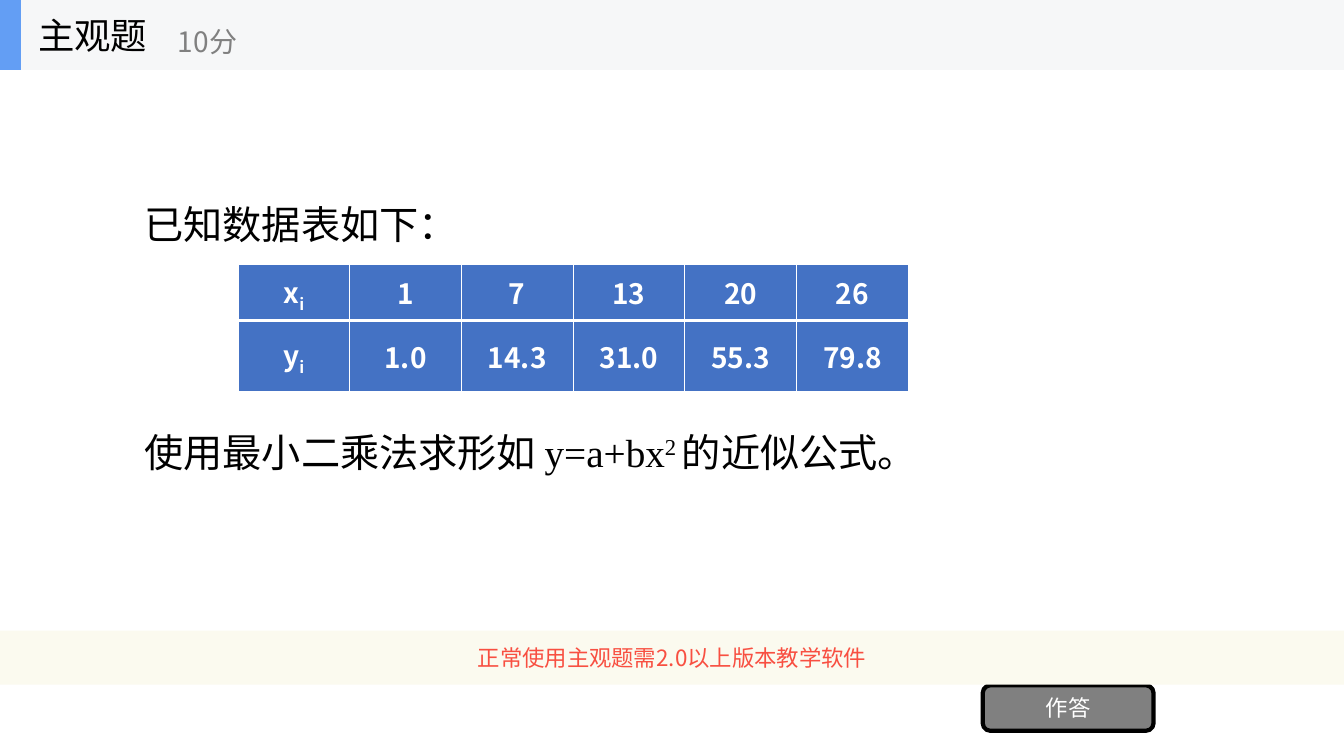
from lxml import etree
from pptx import Presentation
from pptx.dml.color import RGBColor
from pptx.enum.shapes import MSO_SHAPE
from pptx.enum.text import MSO_ANCHOR, MSO_AUTO_SIZE, PP_ALIGN
from pptx.oxml.ns import qn
from pptx.util import Pt

RECTANGLE, ROUNDED = MSO_SHAPE.RECTANGLE, MSO_SHAPE.ROUNDED_RECTANGLE
MIDDLE, NO_FIT = MSO_ANCHOR.MIDDLE, MSO_AUTO_SIZE.NONE
LEFT, CENTER = PP_ALIGN.LEFT, PP_ALIGN.CENTER
SANS, SERIF = "Noto Sans CJK SC", "Times New Roman"
BLACK, WHITE, GRAY = "000000", "FFFFFF", "808080"
FRAME_FORMAT = {"word_wrap": True, "auto_size": NO_FIT, "vertical_anchor": MIDDLE}
SUBSCRIPT, SUPERSCRIPT = -25, 30
WIDTH, HEIGHT = 960, 540
DATA_ROWS = [
    [("x", "i"), "1", "7", "13", "20", "26"],
    [("y", "i"), "1.0", "14.3", "31.0", "55.3", "79.8"],
]


def paint(color_format, color):
    """Apply a hex colour to a fill or a font."""
    color_format.solid()
    color_format.fore_color.rgb = RGBColor.from_string(color)


def place(shape, box):
    """Move and size a shape to a box given in points."""
    for name, value in zip(("left", "top", "width", "height"), box):
        setattr(shape, name, Pt(value))


def add_run(paragraph, text, size, color, font=SANS, bold=False, baseline=0):
    """Add one formatted run to a paragraph."""
    run = paragraph.add_run()
    run.text = text
    values = {"name": font, "size": Pt(size), "bold": bold}
    for name, value in values.items():
        setattr(run.font, name, value)
    paint(run.font.fill, color)
    properties = run._r.get_or_add_rPr()
    etree.SubElement(properties, qn("a:ea")).set("typeface", SANS)
    if baseline:
        properties.set("baseline", str(baseline * 1000))


def format_frame(shape, alignment=LEFT):
    """Prepare the text frame of a shape and return its first paragraph."""
    for name, value in FRAME_FORMAT.items():
        setattr(shape.text_frame, name, value)
    paragraph = shape.text_frame.paragraphs[0]
    paragraph.alignment = alignment
    return paragraph


def add_block(slide, kind, box, fill, outline=None):
    """Add a flat filled shape with an optional 3 point outline."""
    shape = slide.shapes.add_shape(kind, *map(Pt, box))
    shape.shadow.inherit = False
    paint(shape.fill, fill)
    if outline:
        paint(shape.line.fill, outline)
        shape.line.width = Pt(3)
    else:
        shape.line.fill.background()
    return shape


def add_header(slide, box):
    """Build the title bar with its accent, title and score."""
    left, top, width, height = box
    add_block(slide, RECTANGLE, box, "F6F7F8")
    add_block(slide, RECTANGLE, (left, top, 15, height), "639EF4")
    title = slide.shapes.title
    slide.shapes._spTree.append(title._element)
    place(title, (left + 20, top, 150, height))
    add_run(format_frame(title), "主观题", 26, BLACK)
    score = slide.shapes.add_textbox(*map(Pt, (left + 120, top + 9, 180, height - 9)))
    add_run(format_frame(score), "10分", 20, GRAY)


def add_question(slide, box):
    """Fill the body with the question, leaving room for the table."""
    body = slide.placeholders[1]
    place(body, box)
    opening = format_frame(body)
    request = body.text_frame.add_paragraph()
    for paragraph, space in ((opening, 0), (request, 129)):
        properties = paragraph._p.get_or_add_pPr()
        properties.set("marL", "0")
        properties.set("indent", "0")
        etree.SubElement(properties, qn("a:buNone"))
        paragraph.space_before = Pt(space)
    add_run(opening, "已知数据表如下：", 28, BLACK)
    for text, font, baseline in (
        ("使用最小二乘法求形", SANS, 0),
        ("如 y=a+bx", SERIF, 0),
        ("2 ", SERIF, SUPERSCRIPT),
        ("的近似公式。", SANS, 0),
    ):
        add_run(request, text, 28, BLACK, font, baseline=baseline)


def add_borders(cell, widths):
    """Draw white cell borders from a dict of side and width."""
    properties = cell._tc.get_or_add_tcPr()
    for side, width in widths.items():
        line = etree.SubElement(properties, qn(f"a:ln{side}"), w=str(Pt(width)))
        fill = etree.SubElement(line, qn("a:solidFill"))
        etree.SubElement(fill, qn("a:srgbClr"), val=WHITE)


def add_data_table(slide, box, heights):
    """Build the table of measured values."""
    columns = len(DATA_ROWS[0])
    table = slide.shapes.add_table(len(DATA_ROWS), columns, *map(Pt, box)).table
    table.first_row = table.horz_banding = False
    for column in table.columns:
        column.width = Pt(box[2] / columns)
    cell_format = {"vertical_anchor": MIDDLE, "margin_left": Pt(5),
                   "margin_right": Pt(5), "margin_top": 0, "margin_bottom": 0}
    for row, values in enumerate(DATA_ROWS):
        table.rows[row].height = Pt(heights[row])
        top, bottom = (1, 3) if row == 0 else (3, 1)
        for column, value in enumerate(values):
            cell = table.cell(row, column)
            for name, setting in cell_format.items():
                setattr(cell, name, setting)
            add_borders(cell, {"L": 1, "R": 1, "T": top, "B": bottom})
            paint(cell.fill, "4472C4")
            paragraph = cell.text_frame.paragraphs[0]
            paragraph.alignment = CENTER
            parts = value if isinstance(value, tuple) else (value,)
            for text, baseline in zip(parts, (0, SUBSCRIPT)):
                add_run(paragraph, text, 20, WHITE, bold=True, baseline=baseline)


def add_footer(slide, box):
    """Build the answer button and the version notice above it."""
    left, top, width, height = box
    button_box = (left + 702, top + 39, 122, 32.5)
    button = add_block(slide, ROUNDED, button_box, GRAY, BLACK)
    add_run(format_frame(button, CENTER), "作答", 16, WHITE)
    notice = add_block(slide, RECTANGLE, (left, top, width, 38.5), "FBFAEF")
    text = "正常使用主观题需2.0以上版本教学软件"
    add_run(format_frame(notice, CENTER), text, 16, "F84F41")


def main():
    """Create the question slide and save it."""
    presentation = Presentation()
    presentation.slide_width, presentation.slide_height = Pt(WIDTH), Pt(HEIGHT)
    slide = presentation.slides.add_slide(presentation.slide_layouts[1])
    add_question(slide, (96, 115, 768, 253))
    add_footer(slide, (0, 450.5, WIDTH, 89.5))
    add_data_table(slide, (170, 189, 478.8, 91), (40, 51))
    add_header(slide, (0, 0, WIDTH, 50))
    presentation.save("out.pptx")


if __name__ == "__main__":
    main()
